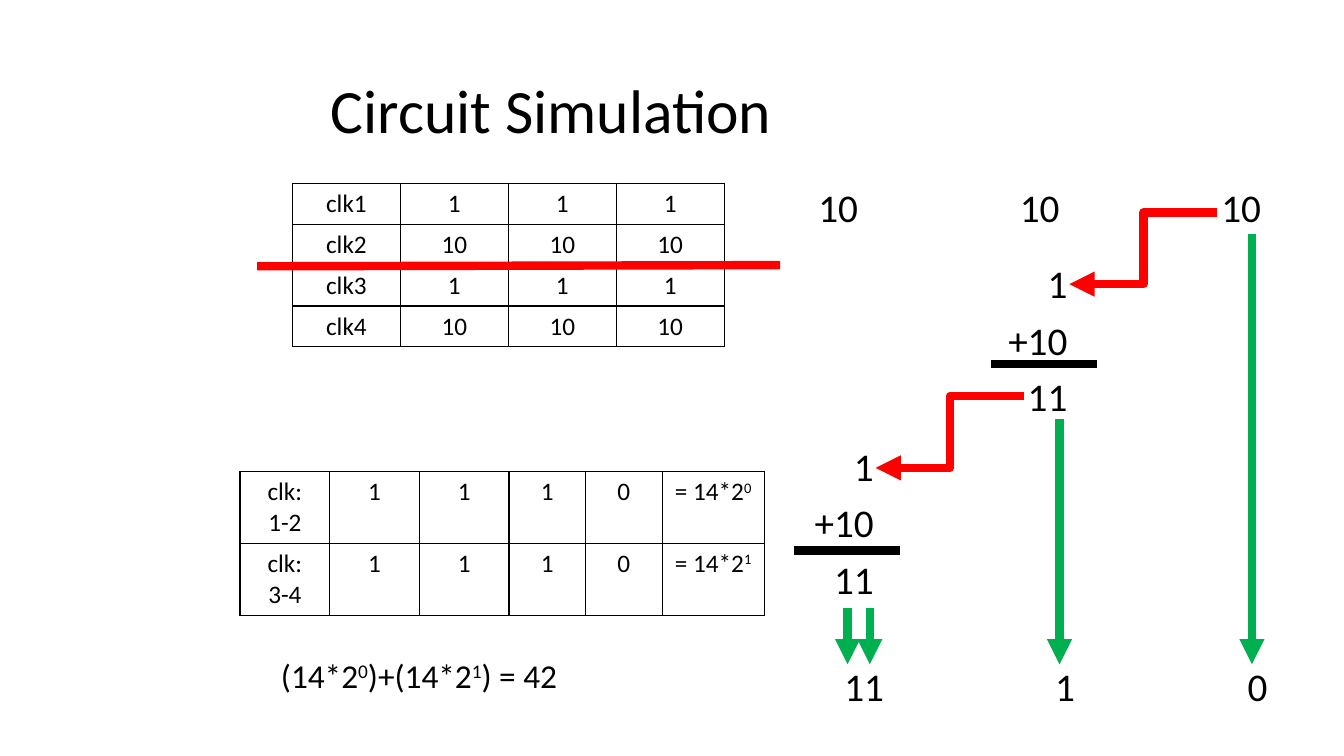
from lxml import etree
from pptx import Presentation
from pptx import util as u
from pptx.dml.color import RGBColor
from pptx.enum import shapes, text
from pptx.oxml import ns

COLOURS = {"ink": "000000", "carry": "FF0000", "result": "00B050"}
LEFT, CENTER, RIGHT = text.PP_ALIGN.LEFT, text.PP_ALIGN.CENTER, text.PP_ALIGN.RIGHT
TITLE = {"alignment": LEFT, "line_spacing": 0.9}
DIGITS = {"alignment": LEFT, "line_spacing": 0.9, "space_before": u.Pt(10)}
SUM = {**DIGITS, "alignment": RIGHT}
FORMULA = {**DIGITS, "line_spacing": 0.8}
CELL = {"alignment": CENTER}


def write(frame, lines, size, paragraph_format):
    """Fill a text frame; the character after ^ is raised."""
    for number, line in enumerate(lines):
        paragraph = frame.add_paragraph() if number else frame.paragraphs[0]
        for name, value in paragraph_format.items():
            setattr(paragraph, name, value)
        properties = paragraph._p.get_or_add_pPr()
        properties.set("marL", "0")
        properties.set("indent", "0")
        etree.SubElement(properties, ns.qn("a:buNone"))
        first, *raised = line.split("^")
        pieces = [(first, False)]
        for part in raised:
            pieces += [(part[0], True), (part[1:], False)]
        for words, is_raised in pieces:
            if not words:
                continue
            run = paragraph.add_run()
            run.text = words
            for name, value in {"name": "Calibri", "size": u.Pt(size), "bold": False}.items():
                setattr(run.font, name, value)
            run.font.color.rgb = RGBColor.from_string(COLOURS["ink"])
            if is_raised:
                run._r.get_or_add_rPr().set("baseline", "30000")


def add_grid(slide, left, top, widths, row_height, rows):
    """Add a plain table with thin black borders."""
    table = slide.shapes.add_table(len(rows), len(widths), u.Cm(left), u.Cm(top),
                                   u.Cm(sum(widths)), u.Cm(row_height * len(rows))).table
    table.first_row = table.horz_banding = False
    for column, width in zip(table.columns, widths):
        column.width = u.Cm(width)
    for row, values in zip(table.rows, rows):
        row.height = u.Cm(row_height)
        for cell, value in zip(row.cells, values):
            write(cell.text_frame, value.split("\n"), 18, CELL)
            properties = cell._tc.get_or_add_tcPr()
            for side in ("lnL", "lnR", "lnT", "lnB"):
                border = etree.SubElement(properties, ns.qn("a:" + side), w=str(u.Pt(1)))
                fill = etree.SubElement(border, ns.qn("a:solidFill"))
                etree.SubElement(fill, ns.qn("a:srgbClr"), val=COLOURS["ink"])
            cell.fill.background()


presentation = Presentation()
presentation.slide_width, presentation.slide_height = u.Cm(33.87), u.Cm(19.05)
slide = presentation.slides.add_slide(presentation.slide_layouts[1])

# Title and first digit of the top row
title, first_digit = slide.placeholders
for shape, box in ((title, (8.08, 1.02, 23.47, 3.68)), (first_digit, (20.37, 4.62, 2, 1.42))):
    shape.left, shape.top, shape.width, shape.height = map(u.Cm, box)
title.text_frame.vertical_anchor = text.MSO_ANCHOR.MIDDLE
write(title.text_frame, ["Circuit Simulation"], 44, TITLE)
write(first_digit.text_frame, ["10"], 28, DIGITS)

# Clock tables
add_grid(slide, 7.37, 4.62, [2.72] * 4, 1.03,
         [[f"clk{clock}"] + ["1" if clock % 2 else "10"] * 3 for clock in range(1, 5)])
add_grid(slide, 6.05, 11.89, [2.26] * 3 + [1.93] * 2 + [2.57], 1.8,
         [[f"clk:\n{clocks}", "1", "1", "1", "0", f"= 14*2^{power}"]
          for power, clocks in enumerate(("1-2", "3-4"))])

# Remaining top digits, carry sums, result digits and formula
carry_sum = ["1", "+10", "11"]
for box, lines, size, style in (
    ((25.45, 4.62, 2, 1.42), ["10"], 28, DIGITS),
    ((30.53, 4.62, 2, 1.42), ["10"], 28, DIGITS),
    ((20.37, 6.55, 6.78, 4.39), carry_sum, 28, SUM),
    ((15.49, 11.15, 6.78, 4.39), carry_sum, 28, SUM),
    ((21.03, 16.71, 2, 1.42), ["11"], 28, DIGITS),
    ((26.34, 16.71, 2, 1.42), ["1"], 28, DIGITS),
    ((31.19, 16.71, 2, 1.42), ["0"], 28, DIGITS),
    ((6.83, 16.59, 7.82, 1.5), ["(14*2^0)+(14*2^1) = 42"], 23.8, FORMULA),
):
    frame = slide.shapes.add_textbox(*map(u.Cm, box)).text_frame
    frame.word_wrap = True
    write(frame, lines, size, style)

# Divider, sum rules, carry arrows and result arrows
STRAIGHT, ELBOW = shapes.MSO_CONNECTOR.STRAIGHT, shapes.MSO_CONNECTOR.ELBOW
for kind, ends, colour, has_arrow in (
    (STRAIGHT, (6.48, 6.71, 19.66, 6.68), "carry", False),
    (STRAIGHT, (24.97, 9.17, 27.64, 9.17), "ink", False),
    (STRAIGHT, (20.02, 13.87, 22.68, 13.87), "ink", False),
    (ELBOW, (30.68, 5.36, 26.95, 7.16), "carry", True),
    (ELBOW, (25.81, 9.98, 22.07, 11.79), "carry", True),
    (STRAIGHT, (31.55, 5.89, 31.55, 16.74), "result", True),
    (STRAIGHT, (26.7, 10.57, 26.7, 16.74), "result", True),
    (STRAIGHT, (21.36, 15.32, 21.36, 16.74), "result", True),
    (STRAIGHT, (21.92, 15.32, 21.92, 16.74), "result", True),
):
    connector = slide.shapes.add_connector(kind, *map(u.Cm, ends))
    connector.line.width = u.Pt(6)
    connector.line.color.rgb = RGBColor.from_string(COLOURS[colour])
    if has_arrow:
        etree.SubElement(connector.line._get_or_add_ln(), ns.qn("a:tailEnd"), type="triangle")
    etree.SubElement(connector._element.spPr, ns.qn("a:effectLst"))

presentation.save("out.pptx")
